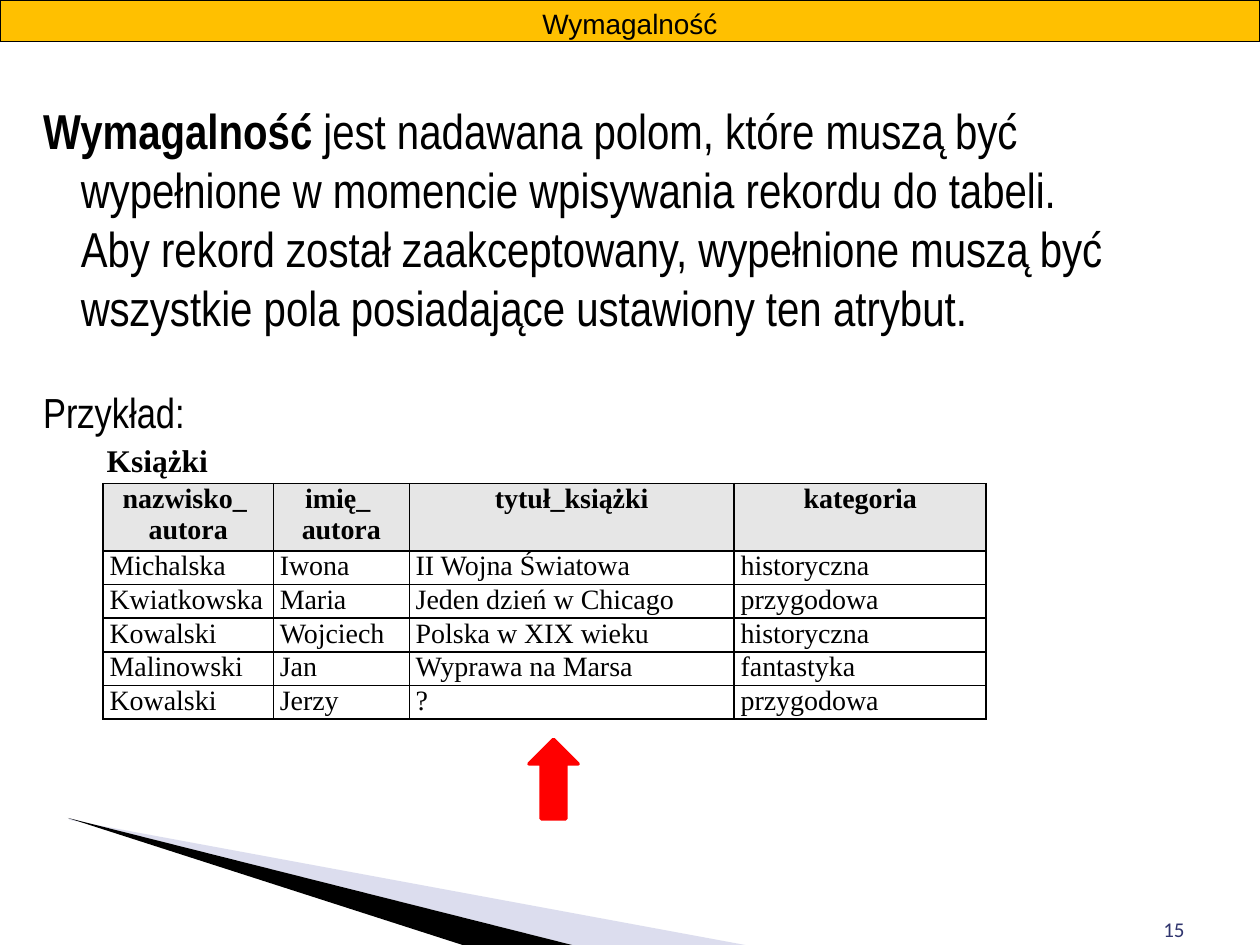
"""Build the slide on required fields, with its example table."""
from lxml import etree
from pptx import Presentation
from pptx.dml.color import RGBColor
from pptx.enum.shapes import MSO_SHAPE
from pptx.enum.text import MSO_ANCHOR, PP_ALIGN
from pptx.oxml import parse_xml
from pptx.oxml.ns import qn
from pptx.util import Cm, Pt

BLACK = RGBColor(0, 0, 0)
WHITE = RGBColor(255, 255, 255)
AMBER = RGBColor(0xFF, 0xC0, 0)
RED = RGBColor(255, 0, 0)
GREY = RGBColor(0xE6, 0xE6, 0xE6)
LILAC = RGBColor(0xA8, 0xAB, 0xD5)
NAVY = RGBColor(0x30, 0x35, 0x6E)
RECT, ARROW = MSO_SHAPE.RECTANGLE, MSO_SHAPE.RIGHT_ARROW
TOP, BOTTOM = MSO_ANCHOR.TOP, MSO_ANCHOR.BOTTOM
LEFT, CENTER, RIGHT = PP_ALIGN.LEFT, PP_ALIGN.CENTER, PP_ALIGN.RIGHT
NS = "http://schemas.openxmlformats.org/drawingml/2006/main"


def write(para, text, font, size, color=BLACK, bold=False):
    for i, line in enumerate(text.split("\n")):
        if i:
            para.add_line_break()
        run = para.add_run()
        run.text = line
        run.font.name = font
        run.font.size = Pt(size)
        run.font.color.rgb = color
        run.font.bold = bold


def add_box(left, top, width, height):
    box = slide.shapes.add_textbox(Cm(left), Cm(top), Cm(width), Cm(height))
    box.text_frame.word_wrap = True
    return box.text_frame


deck = Presentation()
deck.slide_width, deck.slide_height = Cm(25.4), Cm(19.05)
slide = deck.slides.add_slide(deck.slide_layouts[6])
slide.background.fill.solid()
slide.background.fill.fore_color.rgb = WHITE

wedges = [
    (LILAC, [(1.4, 16.53), (15.13, 19.07), (11.61, 19.07), (1.4, 16.5)]),
    (BLACK, [(1.37, 16.49), (11.61, 19.07), (9.48, 19.1), (1.4, 16.5)]),
]
for color, points in wedges:
    spots = [(Cm(x), Cm(y)) for x, y in points]
    path = slide.shapes.build_freeform(*spots[0])
    path.add_line_segments(spots[1:])
    wedge = path.convert_to_shape()
    wedge.shadow.inherit = False
    wedge.fill.solid()
    wedge.fill.fore_color.rgb = color
    wedge.line.fill.background()
    if color == LILAC:
        tint = wedge.fill._xPr.find(".//" + qn("a:srgbClr"))
        etree.SubElement(tint, qn("a:alpha"), val="40000")

number = add_box(18.21, 17.78, 5.92, 1.32)
number.vertical_anchor = BOTTOM
number.paragraphs[0].alignment = RIGHT
write(number.paragraphs[0], "15", "Calibri", 12, NAVY)

body = add_box(0.74, 1.9, 23.62, 13.13)
body.margin_left = body.margin_right = Cm(0.13)
body.margin_top = body.margin_bottom = Cm(0.13)
intro, label = body.paragraphs[0], body.add_paragraph()
for para, gap in ((intro, 12), (label, 29)):
    para.space_before = Pt(gap)
    props = para._p.get_or_add_pPr()
    props.set("marL", str(Cm(0.76)))
    props.set("indent", str(-Cm(0.76)))
write(intro, "Wymagalność ", "Arial Narrow", 28, bold=True)
write(intro, "jest nadawana polom, które muszą być wypełnione w momencie "
      "wpisywania rekordu do tabeli. \nAby rekord został zaakceptowany, "
      "wypełnione muszą być wszystkie pola posiadające ustawiony ten atrybut.",
      "Arial Narrow", 28)
write(label, "Przykład:", "Arial Narrow", 24)

bar = slide.shapes.add_shape(RECT, 0, 0, Cm(25.4), Cm(0.84))
bar.shadow.inherit = False
bar.fill.solid()
bar.fill.fore_color.rgb = AMBER
bar.line.color.rgb = BLACK
bar.line.width = Pt(0.75)
bar.text_frame.vertical_anchor = TOP
bar.text_frame.paragraphs[0].alignment = CENTER
write(bar.text_frame.paragraphs[0], "Wymagalność", "Arial", 16)

books = [
    ("nazwisko_ \nautora", "imię_ \nautora", "tytuł_książki", "kategoria"),
    ("Michalska", "Iwona", "II Wojna Światowa", "historyczna"),
    ("Kwiatkowska", "Maria", "Jeden dzień w Chicago", "przygodowa"),
    ("Kowalski", "Wojciech", "Polska w XIX wieku", "historyczna"),
    ("Malinowski", "Jan", "Wyprawa na Marsa", "fantastyka"),
    ("Kowalski", "Jerzy", "?", "przygodowa"),
]
widths = [3.43, 2.74, 6.55, 5.08]
table = slide.shapes.add_table(len(books), len(widths), Cm(2.08), Cm(9.75),
                               Cm(sum(widths)), Cm(4.34)).table
for col, width in zip(table.columns, widths):
    col.width = Cm(width)
for r, book in enumerate(books):
    head = r == 0
    table.rows[r].height = Cm(1.24 if head else 0.62)
    for c, text in enumerate(book):
        cell = table.cell(r, c)
        cell.margin_left = cell.margin_right = Cm(0.13)
        cell.margin_top = cell.margin_bottom = 0
        para = cell.text_frame.paragraphs[0]
        para.alignment = CENTER if head else LEFT
        write(para, text, "Times New Roman", 16, bold=head)
        props = cell._tc.get_or_add_tcPr()
        for side in ("lnL", "lnR", "lnT", "lnB"):
            props.append(parse_xml(
                f'<a:{side} xmlns:a="{NS}" w="{Pt(1)}"><a:solidFill>'
                f'<a:srgbClr val="{BLACK}"/></a:solidFill></a:{side}>'))
        if head:
            cell.fill.solid()
            cell.fill.fore_color.rgb = GREY
        else:
            cell.fill.background()

name = add_box(1.9, 8.76, 4.8, 1.02)
write(name.paragraphs[0], "Książki", "Times New Roman", 18, bold=True)

arrow = slide.shapes.add_shape(ARROW, Cm(10.36), Cm(15.21), Cm(1.6), Cm(0.99))
arrow.rotation = 270
arrow.shadow.inherit = False
arrow.fill.solid()
arrow.fill.fore_color.rgb = RED
arrow.line.color.rgb = RED
arrow.line.width = Pt(2)

deck.save("out.pptx")
